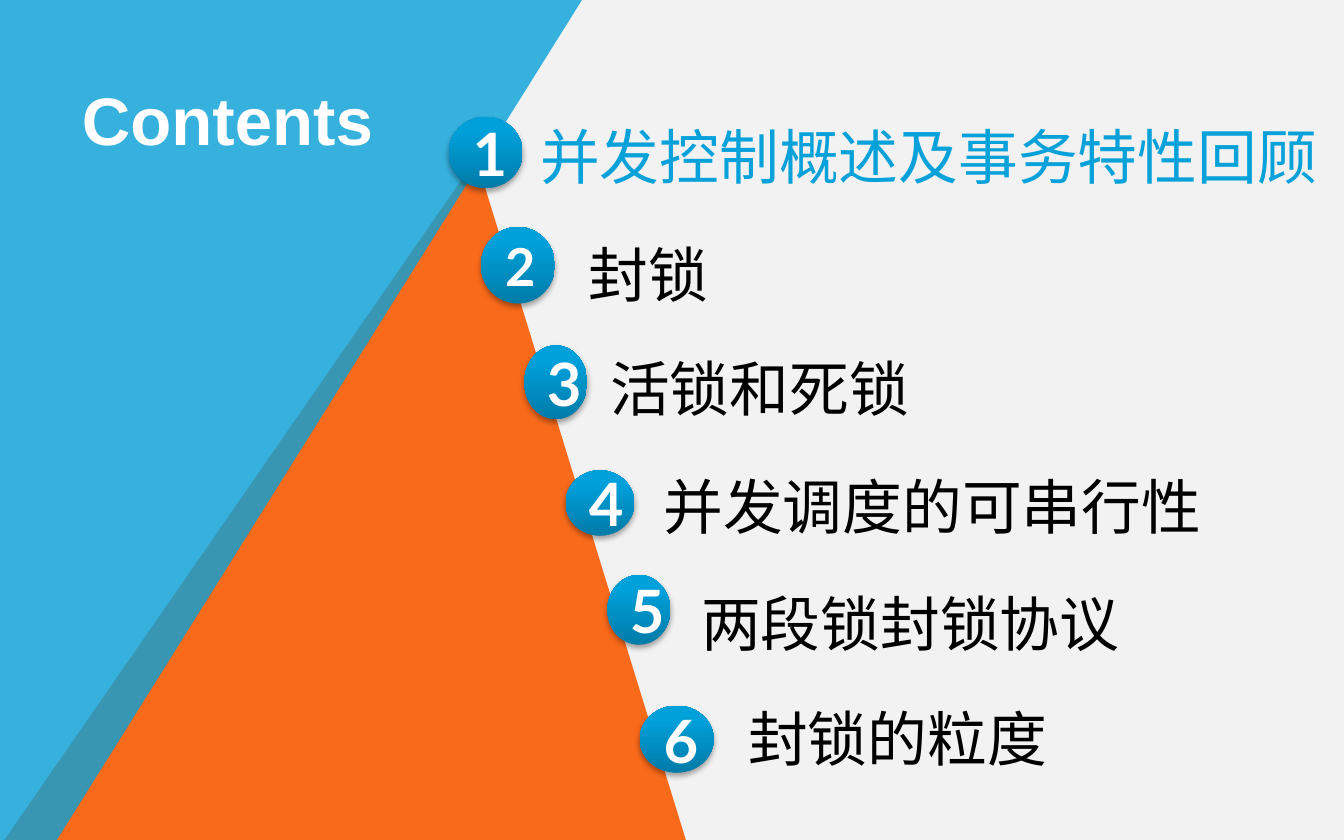
from lxml.etree import SubElement as Sub
from pptx import Presentation
from pptx.dml.color import RGBColor as RGB
from pptx.enum.shapes import MSO_SHAPE as Shape
from pptx.enum.text import MSO_ANCHOR as Anchor, MSO_AUTO_SIZE as Fit, PP_ALIGN as Align
from pptx.oxml.ns import qn
from pptx.util import Cm, Pt

PALE = RGB(0xF2, 0xF2, 0xF2)
ORANGE = RGB(0xF9, 0x6A, 0x1B)
BLUE = RGB(0x08, 0xA1, 0xD9)
DEEP = RGB(0x00, 0x7B, 0xA8)
BRIGHT = RGB(0x00, 0xA0, 0xDA)
WHITE = RGB(0xFF, 0xFF, 0xFF)
BLACK = RGB(0x00, 0x00, 0x00)

WIDE, HIGH = 25.4, 15.88
PEAK = [(0, HIGH), (9.32, 2.92), (13.42, HIGH)]
SLOPE = [(0, 0), (11.13, 0), (1.21, HIGH), (0, HIGH)]
TITLE = "Contents", (1.3, 1.35, 6.81, 1.5)

ITEMS = [
    ("并发控制概述及事务特性回顾", (9.96, 1.73, 15.44, 1.78), (8.48, 2.21, 1.4, 1.35), 32, BLUE),
    ("封锁", (10.87, 3.96, 2.79, 1.78), (9.09, 4.29, 1.4, 1.45), 28, BLACK),
    ("活锁和死锁", (11.28, 6.12, 6.22, 2.03), (9.91, 6.53, 1.19, 1.4), 32, BLACK),
    ("并发调度的可串行性", (12.29, 8.36, 10.77, 2.03), (10.69, 8.89, 1.3, 1.24), 32, BLACK),
    ("两段锁封锁协议", (13, 10.57, 8.48, 1.78), (11.48, 10.87, 1.19, 1.32), 32, BLACK),
    ("封锁的粒度", (13.89, 12.73, 6.22, 1.78), (12.09, 13.34, 1.4, 1.27), 32, BLACK),
]


def area(points, color):
    pen = shapes.build_freeform(*points[0], scale=Cm(1))
    pen.add_line_segments(points[1:], close=True)
    form = pen.convert_to_shape()
    form.shadow.inherit = False
    form.fill.solid()
    form.fill.fore_color.rgb = color
    form.line.fill.background()
    return form


def write(shape, text, size, face, color, bold=False):
    para = shape.text_frame.paragraphs[0]
    para.text = text
    font = para.font
    font.size, font.name, font.bold = Pt(size), face, bold
    font.color.rgb = color
    return para


def label(text, box, size, color, bold=False):
    shape = shapes.add_textbox(*map(Cm, box))
    shape.text_frame.word_wrap = True
    return shape, write(shape, text, size, "Arial", color, bold)


def badge(num, box, size):
    ball = shapes.add_shape(Shape.OVAL, *map(Cm, box))
    ball.fill.gradient()
    ball.fill.gradient_angle = 90
    for stop, color, place in zip(ball.fill.gradient_stops, (DEEP, BRIGHT), (0, 0.8)):
        stop.color.rgb = color
        stop.position = place
    ball.line.fill.background()
    ball.shadow.inherit = False
    effects = ball.element.spPr.find(qn("a:effectLst"))
    shade = Sub(effects, qn("a:outerShdw"), blurRad=str(Pt(3.1)), dist=str(Pt(1.8)),
                dir="5400000", rotWithShape="0")
    tint = Sub(shade, qn("a:srgbClr"), val=str(BLACK))
    Sub(tint, qn("a:alpha"), val="35000")
    ball.text_frame.vertical_anchor = Anchor.MIDDLE
    write(ball, str(num), size, "Lato", WHITE, True).alignment = Align.CENTER


deck = Presentation()
deck.slide_width, deck.slide_height = Cm(WIDE), Cm(HIGH)
slide = deck.slides.add_slide(deck.slide_layouts[6])
slide.background.fill.solid()
slide.background.fill.fore_color.rgb = PALE
shapes = slide.shapes

area(PEAK, ORANGE)
sheet = area(SLOPE, BLUE)
Sub(sheet.element.spPr.find(".//" + qn("a:srgbClr")), qn("a:alpha"), val="80000")
label(*TITLE, 36, WHITE, True)

for num, (text, box, spot, size, color) in enumerate(ITEMS, 1):
    badge(num, spot, size)
    shape, para = label(text, box, 32, color)
    shape.text_frame.word_wrap = num == 1
    shape.text_frame.auto_size = Fit.SHAPE_TO_FIT_TEXT
    para.alignment = Align.JUSTIFY
    para.line_spacing = 1.3

deck.save("out.pptx")
